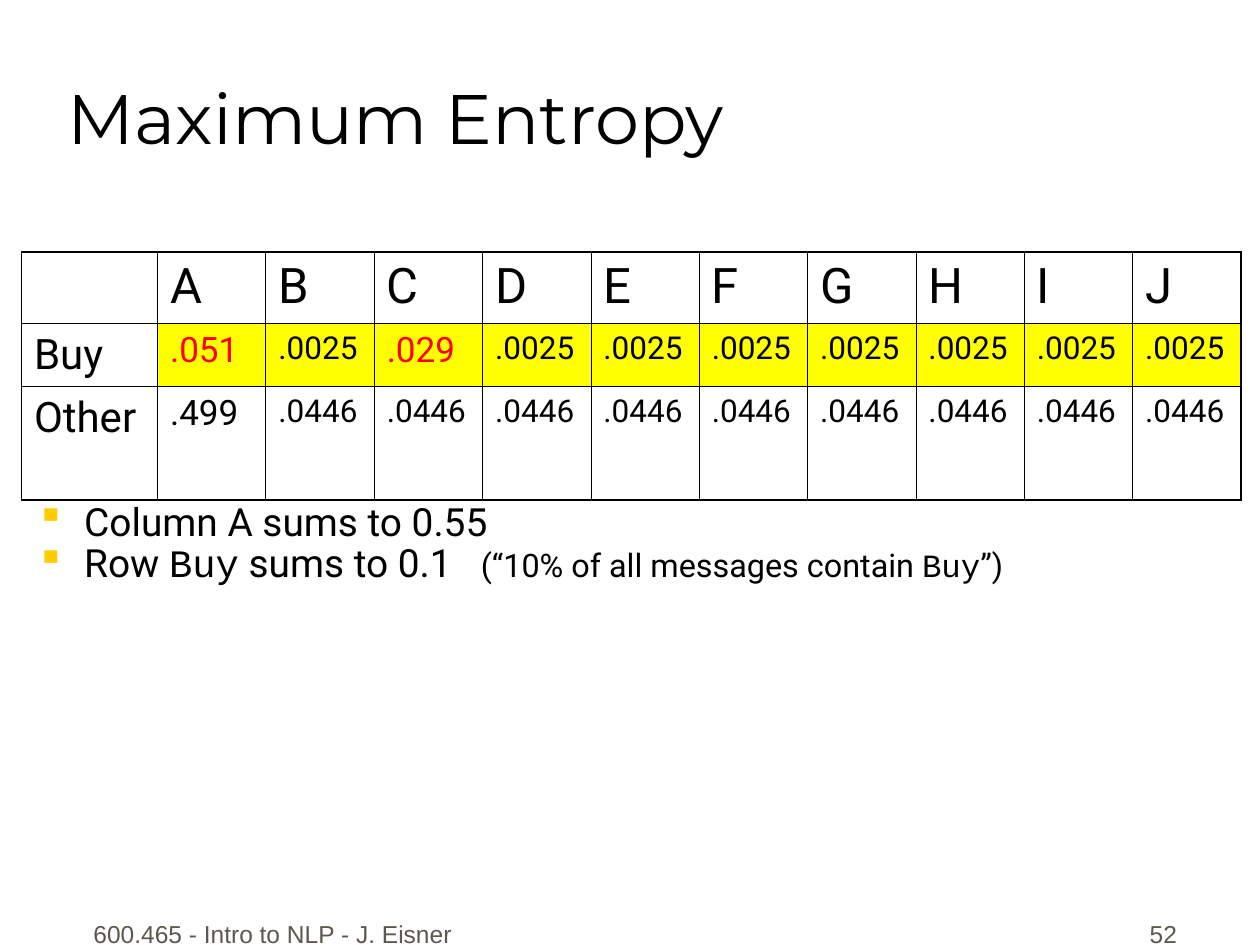
import pptx
import pptx.util
import pptx.dml.color
import pptx.enum.text
import pptx.oxml
import pptx.oxml.ns
from lxml import etree

COLORS = {"black": "000000", "red": "FF0000", "yellow": "FFFF00",
          "footer": "5E574E", "bullet": "FFCC00"}
TITLE = "Maximum Entropy"
FOOTER = "600.465 - Intro to NLP - J. Eisner"
PAGE = "52"
ROWS = [
    ["", *"ABCDEFGHIJ"],
    ["Buy", ".051", ".0025", ".029"] + [".0025"] * 7,
    ["Other", ".499"] + [".0446"] * 9,
]
COL_WIDTHS = [1.08] + [0.86] * 10
ROW_HEIGHTS = [0.57, 0.5, 0.9]
CONSTRAINED = {".051", ".029"}
MONO = "Courier New"
NOTES = [
    (6, [("Column A sums to 0.55", {})]),
    (5, [("Row ", {}), ("Buy", {"font": MONO}), (" sums to 0.1", {}),
         (" ", {"spacing": 11}),
         ("(“10% of all messages contain ", {"size": 18.5}),
         ("Buy", {"size": 18.5, "font": MONO}), ("”)", {"size": 18.5})]),
]
ALIGN = pptx.enum.text.PP_ALIGN
BOTTOM = pptx.enum.text.MSO_ANCHOR.BOTTOM
Inches, Pt = pptx.util.Inches, pptx.util.Pt


def rgb(name):
    return pptx.dml.color.RGBColor.from_string(COLORS[name])


def add_text(p, text, size=22.2, font="Roboto", color="black",
             before=None, align=None, spacing=None):
    r = p.add_run()
    r.text = text
    r.font.size = Pt(size)
    r.font.name = font
    r.font.color.rgb = rgb(color)
    if before is not None:
        p.space_before = Pt(before)
    if align is not None:
        p.alignment = align
    if spacing is not None:
        r.font._element.set("spc", str(spacing * 100))


def add_box(slide, left, top, width, height, anchor=None):
    sp = slide.shapes.add_textbox(Inches(left), Inches(top), Inches(width), Inches(height))
    tf = sp.text_frame
    tf.word_wrap = True
    if anchor is not None:
        tf.vertical_anchor = anchor
    return tf


def add_bullet(p):
    pPr = p._p.get_or_add_pPr()
    pPr.set("marL", str(Inches(0.38)))
    pPr.set("indent", str(Inches(-0.38)))
    clr = etree.SubElement(pPr, pptx.oxml.ns.qn("a:buClr"))
    etree.SubElement(clr, pptx.oxml.ns.qn("a:srgbClr"), val=COLORS["bullet"])
    etree.SubElement(pPr, pptx.oxml.ns.qn("a:buChar"), char="▪")


def set_borders(cell, outer):
    tcPr = cell._tc.get_or_add_tcPr()
    for i, side in enumerate("LRTB"):
        width = 1.08 if side in outer else 0.45
        ln = pptx.oxml.parse_xml(
            f'<a:ln{side} {pptx.oxml.ns.nsdecls("a")} w="{Pt(width)}"><a:solidFill>'
            f'<a:srgbClr val="{COLORS["black"]}"/></a:solidFill></a:ln{side}>')
        tcPr.insert(i, ln)


def cell_format(text, row, col):
    if row == 0:
        size = 28
    elif col == 0:
        size = 24
    else:
        size = 20 if len(text) == 4 else 18
    return {"size": size, "before": size / 4,
            "color": "red" if text in CONSTRAINED else "black"}


def add_grid(slide):
    last_row, last_col = len(ROWS) - 1, len(COL_WIDTHS) - 1
    table = slide.shapes.add_table(
        len(ROWS), len(COL_WIDTHS), Inches(0.17), Inches(2),
        Inches(sum(COL_WIDTHS)), Inches(sum(ROW_HEIGHTS))).table
    table.first_row = table.horz_banding = False
    for col, width in zip(table.columns, COL_WIDTHS):
        col.width = Inches(width)
    for i, (row, height) in enumerate(zip(ROWS, ROW_HEIGHTS)):
        table.rows[i].height = Inches(height)
        for j, text in enumerate(row):
            cell = table.cell(i, j)
            if i == 1 and j > 0:
                cell.fill.solid()
                cell.fill.fore_color.rgb = rgb("yellow")
            else:
                cell.fill.background()
            edges = {"L": j == 0, "R": j == last_col, "T": i == 0, "B": i == last_row}
            set_borders(cell, {side for side, is_outer in edges.items() if is_outer})
            if text:
                add_text(cell.text_frame.paragraphs[0], text, **cell_format(text, i, j))


def main():
    prs = pptx.Presentation()
    prs.slide_width, prs.slide_height = Inches(10), Inches(7.5)
    slide = prs.slides.add_slide(prs.slide_layouts[6])

    for text, left, width, align in [(FOOTER, 0.58, 3.17, ALIGN.CENTER),
                                     (PAGE, 7.36, 2.08, ALIGN.RIGHT)]:
        tf = add_box(slide, left, 7.08, width, 0.5, BOTTOM)
        add_text(tf.paragraphs[0], text, size=14, font="Arial", color="footer",
                 before=8.8, align=align)

    tf = add_box(slide, 0.44, 0.06, 8.5, 1.25, BOTTOM)
    add_text(tf.paragraphs[0], TITLE, size=40, font="Montserrat")

    add_grid(slide)

    tf = add_box(slide, 0.19, 4, 9.56, 0.75)
    for i, (before, runs) in enumerate(NOTES):
        p = tf.add_paragraph() if i else tf.paragraphs[0]
        p.line_spacing = 0.7
        p.space_before = Pt(before)
        add_bullet(p)
        for text, fmt in runs:
            add_text(p, text, **fmt)

    prs.save("out.pptx")


if __name__ == "__main__":
    main()
